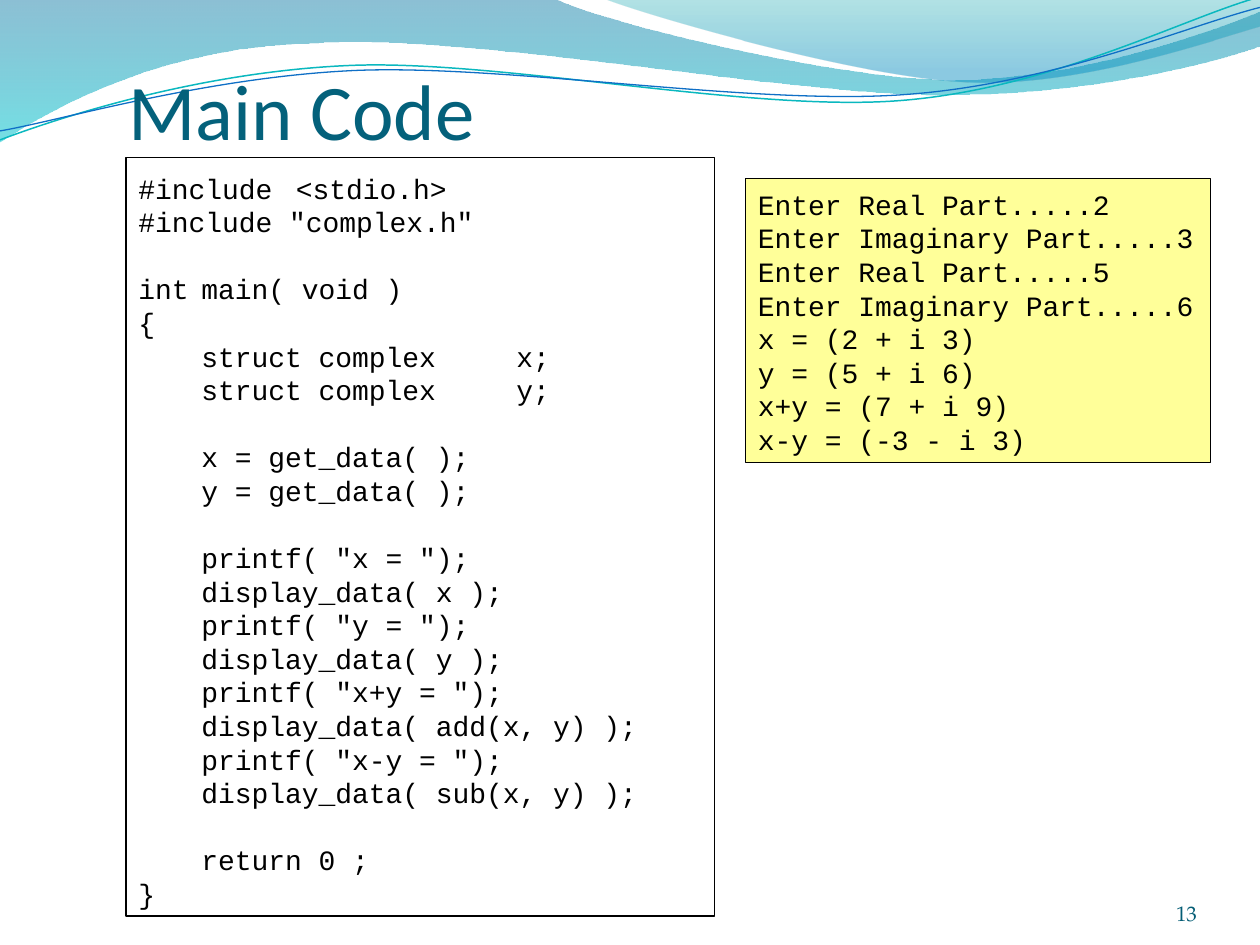
from math import cos, radians, sin

from lxml import etree
from pptx import Presentation
from pptx.dml.color import RGBColor
from pptx.enum.shapes import MSO_SHAPE
from pptx.enum.text import MSO_ANCHOR, PP_ALIGN
from pptx.oxml.ns import qn
from pptx.util import Cm, Pt

RECTANGLE = MSO_SHAPE.RECTANGLE
BOTTOM, MIDDLE = MSO_ANCHOR.BOTTOM, MSO_ANCHOR.MIDDLE
LEFT, RIGHT = PP_ALIGN.LEFT, PP_ALIGN.RIGHT

BLACK = RGBColor(0x00, 0x00, 0x00)
WHITE = RGBColor(0xFF, 0xFF, 0xFF)
YELLOW = RGBColor(0xFF, 0xFF, 0x99)
TITLE_BLUE = RGBColor(0x04, 0x61, 0x7B)
NUMBER_BLUE = RGBColor(0x04, 0x5D, 0x75)
DEEP_BLUE = RGBColor(0x00, 0x74, 0xA1)
CYAN = RGBColor(0x00, 0xC6, 0xCF)
TEAL = RGBColor(0x00, 0xA1, 0xA9)
SKY_BLUE = RGBColor(0x00, 0x8B, 0xBF)
LINE_TEAL = RGBColor(0x0A, 0xB8, 0xBF)
LINE_BLUE = RGBColor(0x0F, 0x6F, 0xC6)

CODE_FONT = "Courier New"
LINE_HEIGHT = Pt(19.2)
CODE_TABS = (Cm(1.27), Cm(2.84), Cm(7.62))
CURVE_TILT = 2.7  # degrees, anticlockwise

# Outlines in cm: a pair is a straight step, six numbers are a cubic curve.
WIDE_WAVE = [
    (0, 0), (11.18, -0.03),
    (12.09, 0.43, 16.87, 1.6, 19.25, 1.6),
    (21.67, 1.6, 24.33, 0.66, 25.4, 0.23),
    (25.43, 0.91),
    (24.97, 1.12, 22.1, 1.93, 18.95, 1.91),
    (15.8, 1.91, 9.7, 0.71, 6.53, 0.86),
    (3.28, 0.91, 1.17, 2.11, -0.03, 2.87),
    (0, 0),
]
RIGHT_WAVE = [
    (12.17, -0.03),
    (12.93, 0.28, 17.32, 1.57, 19.53, 1.65),
    (21.74, 1.75, 24.41, 0.81, 25.4, 0.53),
    (25.4, 0), (12.17, -0.03),
]
TEAL_CURVE = [
    (0, 2.82),
    (1.22, 2.36, 4.01, 1.45, 7.04, 1.32),
    (10.03, 1.19, 15.06, 2.26, 18.11, 2.03),
    (21.16, 1.8, 23.83, 0.38, 25.35, -0.05),
]
BLUE_CURVE = [
    (0, 2.64),
    (1.19, 2.44, 4.17, 1.55, 7.19, 1.42),
    (10.24, 1.3, 15.16, 2.13, 18.21, 1.91),
    (21.23, 1.7, 23.9, 0.53, 25.4, 0.15),
]

# Blocks of lines; one empty line's height separates them.
PROGRAM = [
    ["#include\t <stdio.h>", '#include "complex.h"'],
    ["int\tmain( void )", "{", "\tstruct complex \tx;", "\tstruct complex \ty;"],
    ["\tx = get_data( );", "\ty = get_data( );"],
    ['\tprintf( "x = ");', "\tdisplay_data( x );",
     '\tprintf( "y = ");', "\tdisplay_data( y );",
     '\tprintf( "x+y = ");', "\tdisplay_data( add(x, y) );",
     '\tprintf( "x-y = ");', "\tdisplay_data( sub(x, y) );"],
    ["\treturn 0 ;", "}"],
]
OUTPUT = [[
    "Enter Real Part.....2", "Enter Imaginary Part.....3",
    "Enter Real Part.....5", "Enter Imaginary Part.....6",
    "x = (2 + i 3)", "y = (5 + i 6)", "x+y = (7 + i 9)", "x-y = (-3 - i 3)",
]]


def turn(point, center, degrees):
    """Rotate a point clockwise about a center."""
    a = radians(degrees)
    dx, dy = point[0] - center[0], point[1] - center[1]
    return (center[0] + dx * cos(a) - dy * sin(a),
            center[1] + dx * sin(a) + dy * cos(a))


def add_outline(s, outline, close, center=(0, 0), tilt=0):
    """Add a freeform whose six-number steps become true cubic curves."""
    points = [turn(step[i:i + 2], center, tilt)
              for step in outline for i in range(0, len(step), 2)]
    points = [(Cm(x), Cm(y)) for x, y in points]
    builder = s.shapes.build_freeform(*points[0])
    builder.add_line_segments(points[1:], close=close)
    sp = builder.convert_to_shape()
    sp.shadow.inherit = False
    sp.rotation = -tilt
    segments = iter(list(sp._element.iter(qn("a:lnTo"))))
    for step in outline[1:]:
        first = next(segments)
        if len(step) == 6:
            first.tag = qn("a:cubicBezTo")
            for _ in range(2):
                control = next(segments)
                first.append(control[0])
                control.getparent().remove(control)
    return sp


def add_wave(s, outline, stops):
    """Add a wave with a downward gradient of (position, colour, opacity %)."""
    sp = add_outline(s, outline, True)
    sp.line.fill.background()
    sp.fill.gradient()
    sp.fill.gradient_angle = 270
    for stop, (position, color, _) in zip(sp.fill.gradient_stops, stops):
        stop.position = position
        stop.color.rgb = color
    colors = sp._element.spPr.find(qn("a:gradFill")).iter(qn("a:srgbClr"))
    for clr, (_, _, opacity) in zip(colors, stops):
        etree.SubElement(clr, qn("a:alpha"), val=str(opacity * 1000))


def add_curve(s, outline, center, color, width):
    sp = add_outline(s, outline, False, center, CURVE_TILT)
    sp.fill.background()
    sp.line.color.rgb = color
    sp.line.width = Pt(width)


def set_font(p, name, size, color):
    p.font.name = name
    p.font.size = Pt(size)
    p.font.color.rgb = color


def set_tabs(p, positions):
    tabs = etree.Element(qn("a:tabLst"))
    for position in positions:
        etree.SubElement(tabs, qn("a:tab"), pos=str(position), algn="l")
    p._p.pPr.find(qn("a:defRPr")).addprevious(tabs)


def add_code_box(s, left, top, width, height, blocks, fill, wrap=True):
    sp = s.shapes.add_shape(RECTANGLE, Cm(left), Cm(top), Cm(width), Cm(height))
    sp.shadow.inherit = False
    sp.fill.solid()
    sp.fill.fore_color.rgb = fill
    sp.line.color.rgb = BLACK
    sp.line.width = Pt(0.75)
    tf = sp.text_frame
    tf.word_wrap = wrap
    tf.vertical_anchor = BOTTOM
    tf.text = "\n".join(line for block in blocks for line in block)
    for p in tf.paragraphs:
        p.alignment = LEFT
        p.line_spacing = LINE_HEIGHT
        set_font(p, CODE_FONT, 16, BLACK)
        set_tabs(p, CODE_TABS)
    start = 0
    for block in blocks[:-1]:
        start += len(block)
        tf.paragraphs[start].space_before = LINE_HEIGHT


def add_title(s, text):
    title = s.shapes.title
    title.left, title.top, title.width, title.height = Cm(2.33), Cm(1.46), Cm(21.79), Cm(1.85)
    title.text_frame.text = text
    title.text_frame.vertical_anchor = MIDDLE
    p = title.text_frame.paragraphs[0]
    p.alignment = LEFT
    p.line_spacing = 0.8
    set_font(p, "Calibri", 45, TITLE_BLUE)
    s.shapes._spTree.append(title._element)  # bring in front of the waves


def add_slide_number(s, text):
    tf = s.shapes.add_textbox(Cm(22.02), Cm(17.65), Cm(2.11), Cm(1.02)).text_frame
    tf.margin_left = tf.margin_top = tf.margin_right = tf.margin_bottom = 0
    tf.word_wrap = True
    tf.vertical_anchor = BOTTOM
    p = tf.paragraphs[0]
    p.text = text
    p.alignment = RIGHT
    set_font(p, "TeX Gyre Pagella", 12, NUMBER_BLUE)


def main():
    prs = Presentation()
    prs.slide_width, prs.slide_height = Cm(25.4), Cm(19.05)
    s = prs.slides.add_slide(prs.slide_layouts[5])
    add_wave(s, WIDE_WAVE, [(0, DEEP_BLUE, 45), (1, CYAN, 55)])
    add_wave(s, RIGHT_WAVE, [(0, TEAL, 30), (0.8, SKY_BLUE, 45)])
    add_curve(s, TEAL_CURVE, (12.67, 1.46), LINE_TEAL, 0.85)
    add_curve(s, BLUE_CURVE, (12.69, 1.5), LINE_BLUE, 0.75)
    add_slide_number(s, "13")
    add_code_box(s, 2.54, 3.18, 11.86, 15.29, PROGRAM, WHITE)
    add_code_box(s, 15.03, 3.6, 9.37, 5.72, OUTPUT, YELLOW, wrap=False)
    add_title(s, "Main Code")
    prs.save("out.pptx")


if __name__ == "__main__":
    main()
